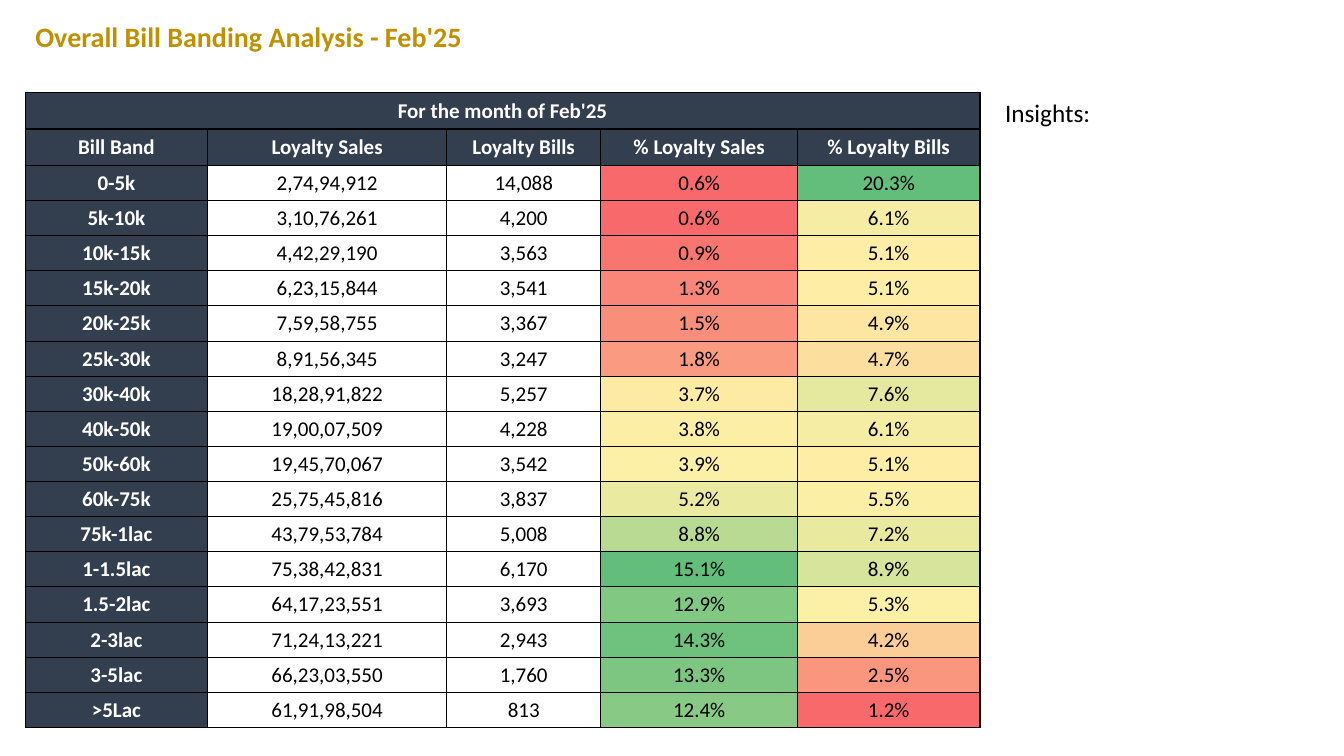
"""Build the bill banding analysis slide."""
from dataclasses import dataclass

from pptx import Presentation
from pptx.dml.color import RGBColor
from pptx.enum.text import MSO_ANCHOR, MSO_AUTO_SIZE, PP_ALIGN
from pptx.oxml import parse_xml
from pptx.oxml.ns import nsdecls
from pptx.table import Table, _Cell
from pptx.text.text import TextFrame
from pptx.util import Inches, Pt

MIDDLE, TOP = MSO_ANCHOR.MIDDLE, MSO_ANCHOR.TOP
GROW = MSO_AUTO_SIZE.SHAPE_TO_FIT_TEXT
LEFT, CENTER = PP_ALIGN.LEFT, PP_ALIGN.CENTER

FONT = "Calibri"
GOLD = RGBColor(0xBF, 0x90, 0x00)
NAVY = RGBColor(0x33, 0x3F, 0x4F)
WHITE = RGBColor(0xFF, 0xFF, 0xFF)
BLACK = RGBColor(0x00, 0x00, 0x00)
LOW = RGBColor(0xF8, 0x69, 0x6B)
MEDIAN = RGBColor(0xFD, 0xF0, 0xA6)
HIGH = RGBColor(0x63, 0xBE, 0x7B)

CAPTION = "For the month of Feb'25"
HEADINGS = ("Bill Band", "Loyalty Sales", "Loyalty Bills", "% Loyalty Sales", "% Loyalty Bills")
COLUMN_WIDTHS = (1.81, 2.37, 1.53, 1.95, 1.81)
HEADER_ROWS = 2
HEADER_HEIGHT = 0.36
TABLE_HEIGHT = 6.3
GROUP_STARTS = (0, 1, 3)
GROUP_ENDS = (0, 2, 4)


@dataclass(frozen=True)
class BillBand:
    """One row of the table."""

    name: str
    sales: str
    bills: str
    sales_share: float
    bills_share: float


BANDS = (
    BillBand("0-5k", "2,74,94,912", "14,088", 0.6, 20.3),
    BillBand("5k-10k", "3,10,76,261", "4,200", 0.6, 6.1),
    BillBand("10k-15k", "4,42,29,190", "3,563", 0.9, 5.1),
    BillBand("15k-20k", "6,23,15,844", "3,541", 1.3, 5.1),
    BillBand("20k-25k", "7,59,58,755", "3,367", 1.5, 4.9),
    BillBand("25k-30k", "8,91,56,345", "3,247", 1.8, 4.7),
    BillBand("30k-40k", "18,28,91,822", "5,257", 3.7, 7.6),
    BillBand("40k-50k", "19,00,07,509", "4,228", 3.8, 6.1),
    BillBand("50k-60k", "19,45,70,067", "3,542", 3.9, 5.1),
    BillBand("60k-75k", "25,75,45,816", "3,837", 5.2, 5.5),
    BillBand("75k-1lac", "43,79,53,784", "5,008", 8.8, 7.2),
    BillBand("1-1.5lac", "75,38,42,831", "6,170", 15.1, 8.9),
    BillBand("1.5-2lac", "64,17,23,551", "3,693", 12.9, 5.3),
    BillBand("2-3lac", "71,24,13,221", "2,943", 14.3, 4.2),
    BillBand("3-5lac", "66,23,03,550", "1,760", 13.3, 2.5),
    BillBand(">5Lac", "61,91,98,504", "813", 12.4, 1.2),
)


def blend(start: RGBColor, end: RGBColor, ratio: float) -> RGBColor:
    """Return the colour at a ratio between two colours."""
    return RGBColor(*(round(a + (b - a) * ratio) for a, b in zip(start, end)))


def heat_colors(shares: list[float]) -> list[RGBColor]:
    """Colour each share on a scale through the minimum, median and maximum."""
    ranked = sorted(shares)
    half = len(ranked) // 2
    low, high = ranked[0], ranked[-1]
    median = (ranked[half - 1] + ranked[half]) / 2
    return [
        blend(LOW, MEDIAN, (share - low) / (median - low))
        if share < median
        else blend(MEDIAN, HIGH, (share - median) / (high - median))
        for share in shares
    ]


def write(frame: TextFrame, text: str, size: float, color: RGBColor,
          bold: bool, align: PP_ALIGN) -> None:
    """Set the text of a frame and format its only run."""
    para = frame.paragraphs[0]
    para.text = text
    para.alignment = align
    for span in para.runs:
        span.font.name = FONT
        span.font.size = Pt(size)
        span.font.bold = bold
        span.font.color.rgb = color


def place_text(box, bounds: tuple[float, ...], text: str, size: float,
               color: RGBColor, bold: bool) -> None:
    """Position a text shape and fill in its line."""
    box.left, box.top, box.width, box.height = map(Inches, bounds)
    frame = box.text_frame
    frame.word_wrap = True
    frame.auto_size = GROW
    frame.vertical_anchor = TOP
    write(frame, text, size, color, bold, LEFT)


def draw_borders(cell: _Cell, row: int, column: int) -> None:
    """Draw thick borders around column groups and thin ones inside."""
    last_row = HEADER_ROWS + len(BANDS) - 1
    thick = {
        "lnL": column in GROUP_STARTS,
        "lnR": column in GROUP_ENDS,
        "lnT": row < HEADER_ROWS or (row == HEADER_ROWS and column == 0),
        "lnB": row in (0, last_row) or (row == 1 and column == 0),
    }
    properties = cell._tc.get_or_add_tcPr()
    for side, is_thick in thick.items():
        width = Pt(1 if is_thick else 0.5)
        properties.append(parse_xml(
            f'<a:{side} {nsdecls("a")} w="{width}"><a:solidFill>'
            f'<a:srgbClr val="{BLACK}"/></a:solidFill></a:{side}>'
        ))


def fill_cell(table: Table, row: int, column: int, text: str, fill: RGBColor) -> None:
    """Write and format one table cell."""
    cell = table.cell(row, column)
    draw_borders(cell, row, column)
    cell.fill.solid()
    cell.fill.fore_color.rgb = fill
    cell.vertical_anchor = MIDDLE
    cell.margin_left = cell.margin_right = cell.margin_top = Inches(0.01)
    cell.margin_bottom = Inches(0)
    is_heading = fill == NAVY
    write(cell.text_frame, text, 15, WHITE if is_heading else BLACK, is_heading, CENTER)


def add_band_table(page) -> None:
    """Add the bill band table with its heat-mapped shares."""
    row_count = HEADER_ROWS + len(BANDS)
    table = page.shapes.add_table(
        row_count, len(HEADINGS), Inches(0.25), Inches(0.92),
        Inches(sum(COLUMN_WIDTHS)), Inches(TABLE_HEIGHT),
    ).table
    table.first_row = table.horz_banding = False
    for column, width in zip(table.columns, COLUMN_WIDTHS):
        column.width = Inches(width)
    band_height = (TABLE_HEIGHT - HEADER_ROWS * HEADER_HEIGHT) / len(BANDS)
    for index, row in enumerate(table.rows):
        row.height = Inches(HEADER_HEIGHT if index < HEADER_ROWS else band_height)

    for column, heading in enumerate(HEADINGS):
        fill_cell(table, 0, column, "" if column else CAPTION, NAVY)
        fill_cell(table, 1, column, heading, NAVY)
    table.cell(0, 0).merge(table.cell(0, len(HEADINGS) - 1))

    sales_colors = heat_colors([band.sales_share for band in BANDS])
    bills_colors = heat_colors([band.bills_share for band in BANDS])
    for index, band in enumerate(BANDS):
        texts = (band.name, band.sales, band.bills,
                 f"{band.sales_share:.1f}%", f"{band.bills_share:.1f}%")
        fills = (NAVY, WHITE, WHITE, sales_colors[index], bills_colors[index])
        for column, (text, fill) in enumerate(zip(texts, fills)):
            fill_cell(table, HEADER_ROWS + index, column, text, fill)


def main() -> None:
    """Build and save the deck."""
    deck = Presentation()
    deck.slide_width, deck.slide_height = Inches(13.33), Inches(7.5)
    page = deck.slides.add_slide(deck.slide_layouts.get_by_name("Title Only"))
    place_text(page.shapes.title, (0.25, 0.14, 12.95, 0.44),
               "Overall Bill Banding Analysis - Feb'25", 20, GOLD, True)
    insights = page.shapes.add_textbox(0, 0, 0, 0)
    place_text(insights, (9.87, 0.92, 3.46, 0.4), "Insights:", 18, BLACK, False)
    add_band_table(page)
    deck.save("out.pptx")


if __name__ == "__main__":
    main()
